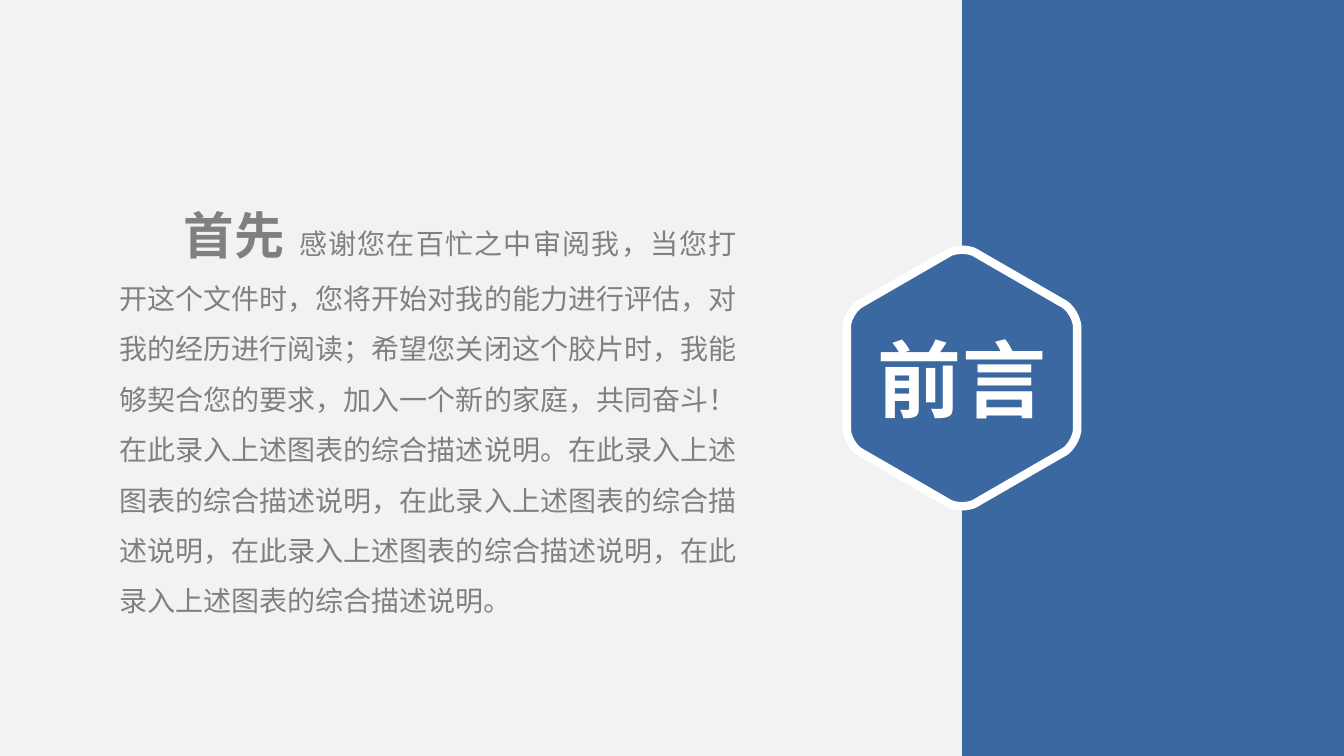
import math
import pptx
import pptx.util
import pptx.dml.color
import pptx.enum.shapes
import pptx.enum.text
import pptx.oxml
import pptx.oxml.ns

PX = 9071
FONT = "Noto Sans CJK SC"
HUES = {"back": "F2F2F2", "blue": "3B68A1", "white": "FFFFFF", "gray": "808080"}
LEAD = "首先 "
TEXT = (
    "感谢您在百忙之中审阅我，当您打开这个文件时，您将开始对我的能力进行评估，"
    "对我的经历进行阅读；希望您关闭这个胶片时，我能够契合您的要求，"
    "加入一个新的家庭，共同奋斗！在此录入上述图表的综合描述说明。"
    + "在此录入上述图表的综合描述说明，" * 3
    + "在此录入上述图表的综合描述说明。"
)


def color(name):
    return pptx.dml.color.RGBColor.from_string(HUES[name])


def paint(fill, name):
    fill.solid()
    fill.fore_color.rgb = color(name)


def place(shape, box):
    shape.left, shape.top, shape.width, shape.height = (n * PX for n in box)


def style(run, size, hue, bold):
    font = run.font
    font.size = pptx.util.Pt(size)
    font.bold = bold
    font.name = FONT
    font.color.rgb = color(hue)
    east = pptx.oxml.parse_xml(
        f'<a:ea {pptx.oxml.ns.nsdecls("a")} typeface="{FONT}"/>')
    font._element.find(pptx.oxml.ns.qn("a:latin")).addnext(east)


def panel(slide, box):
    rect = slide.shapes.add_shape(
        pptx.enum.shapes.MSO_SHAPE.RECTANGLE, *(n * PX for n in box))
    rect.shadow.inherit = False
    paint(rect.fill, "blue")
    rect.line.fill.background()


def outline(x, y):
    bend = [(-12, -126), (-5, -129), (5, -129), (12, -126)]
    steps = 8
    points = []
    for side in range(6):
        turn = math.radians(60 * side)
        for step in range(steps + 1):
            t = step / steps
            mix = [math.comb(3, k) * t ** k * (1 - t) ** (3 - k) for k in range(4)]
            dx = sum(m * p[0] for m, p in zip(mix, bend))
            dy = sum(m * p[1] for m, p in zip(mix, bend))
            points.append((
                round((x + dx * math.cos(turn) - dy * math.sin(turn)) * PX),
                round((y + dx * math.sin(turn) + dy * math.cos(turn)) * PX)))
    return points


def badge(slide, box):
    left, top, width, height = box
    first, *rest = outline(left + width // 2, top + height // 2)
    draw = slide.shapes.build_freeform(*first)
    draw.add_line_segments(rest, close=True)
    hexagon = draw.convert_to_shape()
    hexagon.shadow.inherit = False
    paint(hexagon.fill, "blue")
    paint(hexagon.line.fill, "white")
    hexagon.line.width = pptx.util.Pt(6)

    title = slide.shapes.title
    tall = 110
    place(title, (left - 29, top + (height - tall) // 2, width + 58, tall))
    frame = title.text_frame
    frame.text = "前言"
    frame.word_wrap = True
    frame.auto_size = pptx.enum.text.MSO_AUTO_SIZE.NONE
    frame.vertical_anchor = pptx.enum.text.MSO_ANCHOR.MIDDLE
    frame.margin_left = frame.margin_right = 7 * PX
    frame.margin_top = frame.margin_bottom = 4 * PX
    line = frame.paragraphs[0]
    line.alignment = pptx.enum.text.PP_ALIGN.CENTER
    style(line.runs[0], 60, "white", True)
    hexagon.element.addnext(title.element)


def intro(slide, box):
    body = slide.placeholders[1]
    place(body, box)
    frame = body.text_frame
    frame.word_wrap = True
    frame.auto_size = pptx.enum.text.MSO_AUTO_SIZE.NONE
    frame.vertical_anchor = pptx.enum.text.MSO_ANCHOR.TOP
    line = frame.paragraphs[0]
    props = line._p.get_or_add_pPr()
    props.set("marL", "0")
    props.set("indent", str(64 * PX))
    props.append(pptx.oxml.parse_xml(
        f'<a:buNone {pptx.oxml.ns.nsdecls("a")}/>'))
    line.alignment = pptx.enum.text.PP_ALIGN.JUSTIFY
    line.line_spacing = 1.5
    line.space_before = pptx.util.Pt(0)
    line.space_after = pptx.util.Pt(12)
    for words, size, bold in ((LEAD, 36, True), (TEXT, 20, False)):
        run = line.add_run()
        run.text = words
        style(run, size, "gray", bold)


def main():
    deck = pptx.Presentation()
    deck.slide_width, deck.slide_height = 1344 * PX, 756 * PX
    slide = deck.slides.add_slide(deck.slide_layouts[1])
    paint(slide.background.fill, "back")
    panel(slide, (962, 0, 382, 756))
    badge(slide, (847, 249, 230, 258))
    intro(slide, (109, 169, 638, 458))
    deck.save("out.pptx")


if __name__ == "__main__":
    main()
